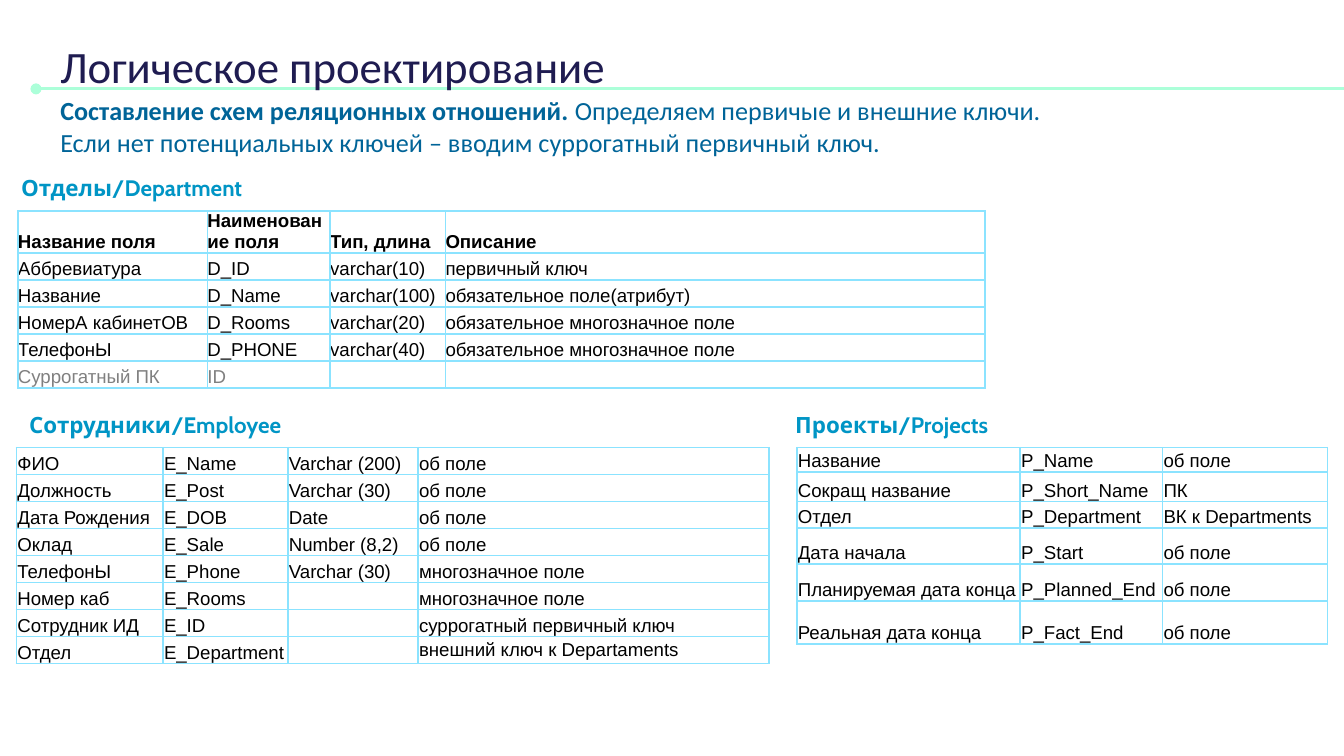
from lxml import etree
from pptx import Presentation
from pptx.dml.color import RGBColor
from pptx.enum.shapes import MSO_CONNECTOR
from pptx.enum.text import MSO_ANCHOR, MSO_AUTO_SIZE, PP_ALIGN
from pptx.oxml.ns import qn
from pptx.util import Cm, Pt

LEFT = PP_ALIGN.LEFT
TOP, MIDDLE, BOTTOM = MSO_ANCHOR.TOP, MSO_ANCHOR.MIDDLE, MSO_ANCHOR.BOTTOM
STRAIGHT = MSO_CONNECTOR.STRAIGHT
NO_AUTOFIT = MSO_AUTO_SIZE.NONE

# Content
TITLE = "Логическое проектирование"
INTRO = [
    ("Составление схем реляционных отношений. ", True),
    ("Определяем первичые и внешние ключи. Если нет потенциальных ключей – "
     "вводим суррогатный первичный ключ.", False),
]
DEPARTMENT = [
    ("Название поля", "Наименование поля", "Тип, длина", "Описание"),
    ("Аббревиатура", "D_ID", "varchar(10)", "первичный ключ"),
    ("Название", "D_Name", "varchar(100)", "обязательное поле(атрибут)"),
    ("НомерА кабинетОВ", "D_Rooms", "varchar(20)", "обязательное многозначное поле"),
    ("ТелефонЫ", "D_PHONE", "varchar(40)", "обязательное многозначное поле"),
    ("Суррогатный ПК", "ID", "", ""),
]
EMPLOYEE = [
    ("ФИО", "E_Name", "Varchar (200)", "об поле"),
    ("Должность", "E_Post", "Varchar (30)", "об поле"),
    ("Дата Рождения", "E_DOB", "Date", "об поле"),
    ("Оклад", "E_Sale", "Number (8,2)", "об поле"),
    ("ТелефонЫ", "E_Phone", "Varchar (30)", "многозначное поле"),
    ("Номер каб", "E_Rooms", "", "многозначное поле"),
    ("Сотрудник ИД", "E_ID", "", "cуррогатный первичный ключ"),
    ("Отдел", "E_Department", "", "внешний ключ к Departaments"),
]
PROJECTS = [
    ("Название", "P_Name", "об поле"),
    ("Сокращ название", "P_Short_Name", "ПК"),
    ("Отдел", "P_Department", "ВК к Departments"),
    ("Дата начала", "P_Start", "об поле"),
    ("Планируемая дата конца", "P_Planned_End", "об поле"),
    ("Реальная дата конца", "P_Fact_End", "об поле"),
]

# Tables: label box, table corner, column widths and row heights in cm
ROW = 0.51
TABLES = [
    dict(label="Отделы/Department", box=(0.15, 3.05, 5.69, 0.94), at=(0.34, 3.99),
         cols=(3.58, 2.32, 2.18, 10.2), heights=[ROW] * 6, rows=DEPARTMENT,
         inset=0, bold_rows={0}, muted_rows={5}),
    dict(label="Сотрудники/Employee", box=(0.3, 7.52, 5.38, 0.94), at=(0.31, 8.46),
         cols=(2.77, 2.36, 2.46, 6.63), heights=[ROW] * 8, rows=EMPLOYEE,
         inset=0.02, middle_cells={(7, 3)}),
    dict(label="Проекты/Projects", box=(14.78, 7.52, 4.78, 0.94), at=(15.06, 8.46),
         cols=(4.22, 2.69, 3.12), heights=(0.46, 0.56, 0.5, 0.68, 0.7, 0.81),
         rows=PROJECTS, inset=0.02),
]

THEME = {
    "title": dict(font="Calibri", size=24, color="1F1C51"),
    "intro": dict(font="Calibri", size=14, color="006498"),
    "label": dict(font="Cabin", size=12, color="0095C5"),
    "cell": dict(font="Arial", size=10, color="000000"),
    "muted": dict(font="Arial", size=10, color="808080"),
    "rule": dict(color="ACFFD9", width=1.5),
    "border": dict(color="8BE3FF", width=1),
}


def add_run(p, text, style, bold=False):
    look = THEME[style]
    r = p.add_run()
    r.text = text
    r.font.name = look["font"]
    r.font.size = Pt(look["size"])
    r.font.bold = bold
    r.font.color.rgb = RGBColor.from_string(look["color"])


def setup_frame(sp, anchor):
    tf = sp.text_frame
    tf.word_wrap = True
    tf.auto_size = NO_AUTOFIT
    tf.vertical_anchor = anchor
    tf.margin_left = tf.margin_right = tf.margin_top = tf.margin_bottom = Cm(0.25)
    p = tf.paragraphs[0]
    p.alignment = LEFT
    return p


def add_text(s, box, anchor=TOP):
    return setup_frame(s.shapes.add_textbox(*map(Cm, box)), anchor)


def add_borders(cell):
    look = THEME["border"]
    tc_pr = cell._tc.get_or_add_tcPr()
    for side in ("lnL", "lnR", "lnT", "lnB"):
        ln = etree.SubElement(tc_pr, qn(f"a:{side}"), w=str(Pt(look["width"])))
        fill = etree.SubElement(ln, qn("a:solidFill"))
        etree.SubElement(fill, qn("a:srgbClr"), val=look["color"])


def add_schema(s, t):
    p = add_text(s, t["box"])
    p.space_after = Pt(16)
    add_run(p, t["label"], "label", bold=True)

    cols, heights, rows = t["cols"], t["heights"], t["rows"]
    size = (sum(cols), sum(heights))
    table = s.shapes.add_table(len(rows), len(cols), *map(Cm, t["at"] + size)).table
    table.first_row = table.horz_banding = False
    for column, width in zip(table.columns, cols):
        column.width = Cm(width)
    for i, (row, height) in enumerate(zip(rows, heights)):
        table.rows[i].height = Cm(height)
        style = "muted" if i in t.get("muted_rows", ()) else "cell"
        for j, text in enumerate(row):
            cell = table.cell(i, j)
            cell.margin_left = cell.margin_right = cell.margin_top = Cm(t["inset"])
            cell.margin_bottom = 0
            cell.vertical_anchor = MIDDLE if (i, j) in t.get("middle_cells", ()) else BOTTOM
            add_borders(cell)
            cell.fill.background()
            p = cell.text_frame.paragraphs[0]
            if text:
                add_run(p, text, style, bold=i in t.get("bold_rows", ()))
            else:  # keeps an empty cell from stretching its row
                etree.SubElement(p._p, qn("a:endParaRPr"), sz=str(THEME[style]["size"] * 100))


def add_rule(s):
    look = THEME["rule"]
    rule = s.shapes.add_connector(STRAIGHT, Cm(0.68), Cm(1.68), Cm(25.4), Cm(1.68))
    rule.line.color.rgb = RGBColor.from_string(look["color"])
    rule.line.width = Pt(look["width"])
    etree.SubElement(rule.line._get_or_add_ln(), qn("a:headEnd"), type="oval")
    etree.SubElement(rule._element.spPr, qn("a:effectLst"))
    s.shapes._spTree.insert(2, rule._element)  # behind the title


def main():
    prs = Presentation()
    prs.slide_width, prs.slide_height = Cm(25.4), Cm(14.29)
    s = prs.slides.add_slide(prs.slide_layouts[5])

    # Heading
    add_rule(s)
    title = s.shapes.title
    title.left, title.top, title.width, title.height = map(Cm, (0.89, 0.48, 16.89, 1.5))
    add_run(setup_frame(title, TOP), TITLE, "title")
    p = add_text(s, (0.89, 1.73, 19.41, 1.5), BOTTOM)
    for text, bold in INTRO:
        add_run(p, text, "intro", bold)

    # Relation schemas
    for t in TABLES:
        add_schema(s, t)

    prs.save("out.pptx")


if __name__ == "__main__":
    main()
